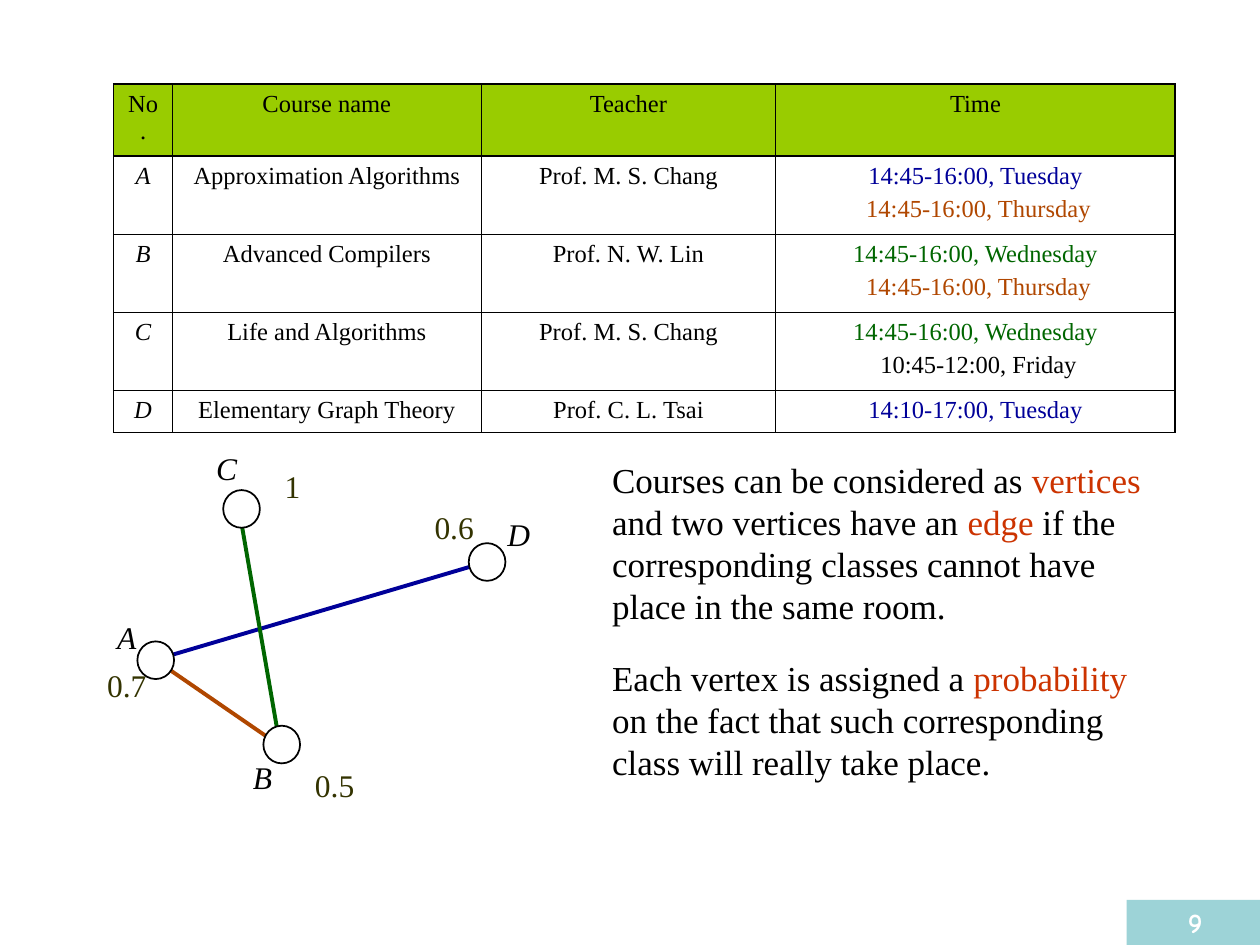
from dataclasses import dataclass

from lxml.etree import SubElement
from pptx import Presentation
from pptx.dml.color import RGBColor
from pptx.enum.shapes import MSO_CONNECTOR, MSO_SHAPE
from pptx.enum.text import MSO_ANCHOR, PP_ALIGN
from pptx.oxml.ns import qn
from pptx.util import Cm, Pt


@dataclass(frozen=True)
class Theme:
    serif: str = "Times New Roman"
    round: str = "Comic Neue"
    cell: int = 14
    page: int = 16
    label: int = 18
    body: int = 20
    black: str = "000000"
    white: str = "FFFFFF"
    head: str = "99CC00"
    blue: str = "000099"
    green: str = "006600"
    brown: str = "B04700"
    olive: str = "333300"
    red: str = "CC3300"
    teal: str = "9DD3D7"
    thin: float = 0.45
    thick: float = 1.08
    edge: float = 2.25


T = Theme()

HEAD = ["No.", "Course name", "Teacher", "Time"]
COURSES = [
    ("A", "Approximation Algorithms", "Prof. M. S. Chang",
     [("14:45-16:00, Tuesday", T.blue), (" 14:45-16:00, Thursday", T.brown)]),
    ("B", "Advanced Compilers", "Prof. N. W. Lin",
     [("14:45-16:00, Wednesday", T.green), (" 14:45-16:00, Thursday", T.brown)]),
    ("C", "Life and Algorithms", "Prof. M. S. Chang",
     [("14:45-16:00, Wednesday", T.green), (" 10:45-12:00, Friday", T.black)]),
    ("D", "Elementary Graph Theory", "Prof. C. L. Tsai",
     [("14:10-17:00, Tuesday", T.blue)]),
]
GRID = (2.29, 1.7)
COLS = [1.19, 6.22, 5.94, 8.05]
ROWS = [1.45, 1.57, 1.57, 1.57, 0.86]

EDGES = [
    (9.63, 11.38, 3.2, 13.28, T.blue),
    (4.85, 10.44, 5.61, 14.83, T.green),
    (3.33, 13.44, 5.51, 14.94, T.brown),
]
NODES = [
    ("A", (2.77, 12.93), (2.11, 12.34), "0.7", (1.91, 13.31)),
    ("B", (5.31, 14.63), (4.85, 15.16), "0.5", (6.1, 15.32)),
    ("C", (4.5, 9.88), (4.11, 8.92), "1", (5.49, 9.3)),
    ("D", (9.45, 10.95), (9.98, 10.26), "0.6", (8.51, 10.11)),
]
NOTES = [
    ((12.09, 9.12, 11.2, 3.66), [
        ("Courses can be considered as ", T.black), ("vertices", T.red),
        (" and two vertices have an ", T.black), ("edge", T.red),
        (" if the corresponding classes cannot have place in the same room.",
         T.black)]),
    ((12.09, 13.11, 11.4, 2.79), [
        ("Each vertex is assigned a ", T.black), ("probability", T.red),
        (" on the fact that such corresponding class will really take place.",
         T.black)]),
]
PAGE = ("9", (22.71, 18.14, 2.77, 0.91))


def rgb(code):
    return RGBColor.from_string(code)


def write(para, parts, size, name=T.serif, bold=False, slant=False):
    font = para.font
    font.name, font.size, font.bold, font.italic = name, Pt(size), bold, slant
    if len(parts) == 1:
        font.color.rgb = rgb(parts[0][1])
    for text, tone in parts:
        run = para.add_run()
        run.text = text
        if len(parts) > 1:
            run.font.color.rgb = rgb(tone)


def add_text(slide, box, parts, size, slant=False):
    frame = slide.shapes.add_textbox(*map(Cm, box)).text_frame
    frame.word_wrap = True
    write(frame.paragraphs[0], parts, size, slant=slant)


def add_form(slide, kind, box, tone):
    form = slide.shapes.add_shape(kind, *map(Cm, box))
    form.shadow.inherit = False
    form.fill.solid()
    form.fill.fore_color.rgb = rgb(tone)
    return form


def add_rule(cell, side, width):
    line = SubElement(cell._tc.get_or_add_tcPr(), qn(f"a:ln{side}"), w=str(Pt(width)))
    fill = SubElement(line, qn("a:solidFill"))
    SubElement(fill, qn("a:srgbClr"), val=T.black)


def add_grid(slide):
    size = (sum(COLS), sum(ROWS))
    grid = slide.shapes.add_table(
        len(ROWS), len(COLS), *map(Cm, GRID + size)).table
    grid.first_row = grid.horz_banding = False
    for col, width in zip(grid.columns, COLS):
        col.width = Cm(width)
    for row, height in zip(grid.rows, ROWS):
        row.height = Cm(height)
    for r, items in enumerate([HEAD, *COURSES]):
        for c, item in enumerate(items):
            cell = grid.cell(r, c)
            heavy = {"L": c == 0, "R": c == len(COLS) - 1,
                     "T": r < 2, "B": r in (0, len(ROWS) - 1)}
            for side, bold in heavy.items():
                add_rule(cell, side, T.thick if bold else T.thin)
            if r == 0:
                cell.fill.solid()
                cell.fill.fore_color.rgb = rgb(T.head)
            else:
                cell.fill.background()
            lines = [(item, T.black)] if isinstance(item, str) else item
            frame = cell.text_frame
            for n, part in enumerate(lines):
                para = frame.add_paragraph() if n else frame.paragraphs[0]
                para.alignment = PP_ALIGN.CENTER
                if n:
                    para.space_before = Pt(3.5)
                write(para, [part], T.cell, slant=r > 0 and c == 0)


def add_graph(slide):
    for *ends, tone in EDGES:
        edge = slide.shapes.add_connector(MSO_CONNECTOR.STRAIGHT, *map(Cm, ends))
        edge.line.color.rgb = rgb(tone)
        edge.line.width = Pt(T.edge)
        SubElement(edge._element.spPr, qn("a:effectLst"))
    for name, spot, tag, odds, place in NODES:
        node = add_form(slide, MSO_SHAPE.OVAL, (*spot, 0.74, 0.76), T.white)
        node.line.color.rgb = rgb(T.black)
        node.line.width = Pt(1)
        add_text(slide, (*tag, 1.1, 1.02), [(name, T.black)], T.label, True)
        add_text(slide, (*place, 1.4, 1.02), [(odds, T.olive)], T.label)


def add_page(slide):
    text, box = PAGE
    badge = add_form(slide, MSO_SHAPE.RECTANGLE, box, T.teal)
    badge.line.fill.background()
    frame = badge.text_frame
    frame.vertical_anchor = MSO_ANCHOR.MIDDLE
    para = frame.paragraphs[0]
    para.alignment = PP_ALIGN.CENTER
    write(para, [(text, T.white)], T.page, T.round, bold=True)


def main():
    deck = Presentation()
    deck.slide_width, deck.slide_height = Cm(25.4), Cm(19.05)
    slide = deck.slides.add_slide(deck.slide_layouts[6])
    add_graph(slide)
    add_grid(slide)
    for box, parts in NOTES:
        add_text(slide, box, parts, T.body)
    add_page(slide)
    deck.save("out.pptx")


if __name__ == "__main__":
    main()
